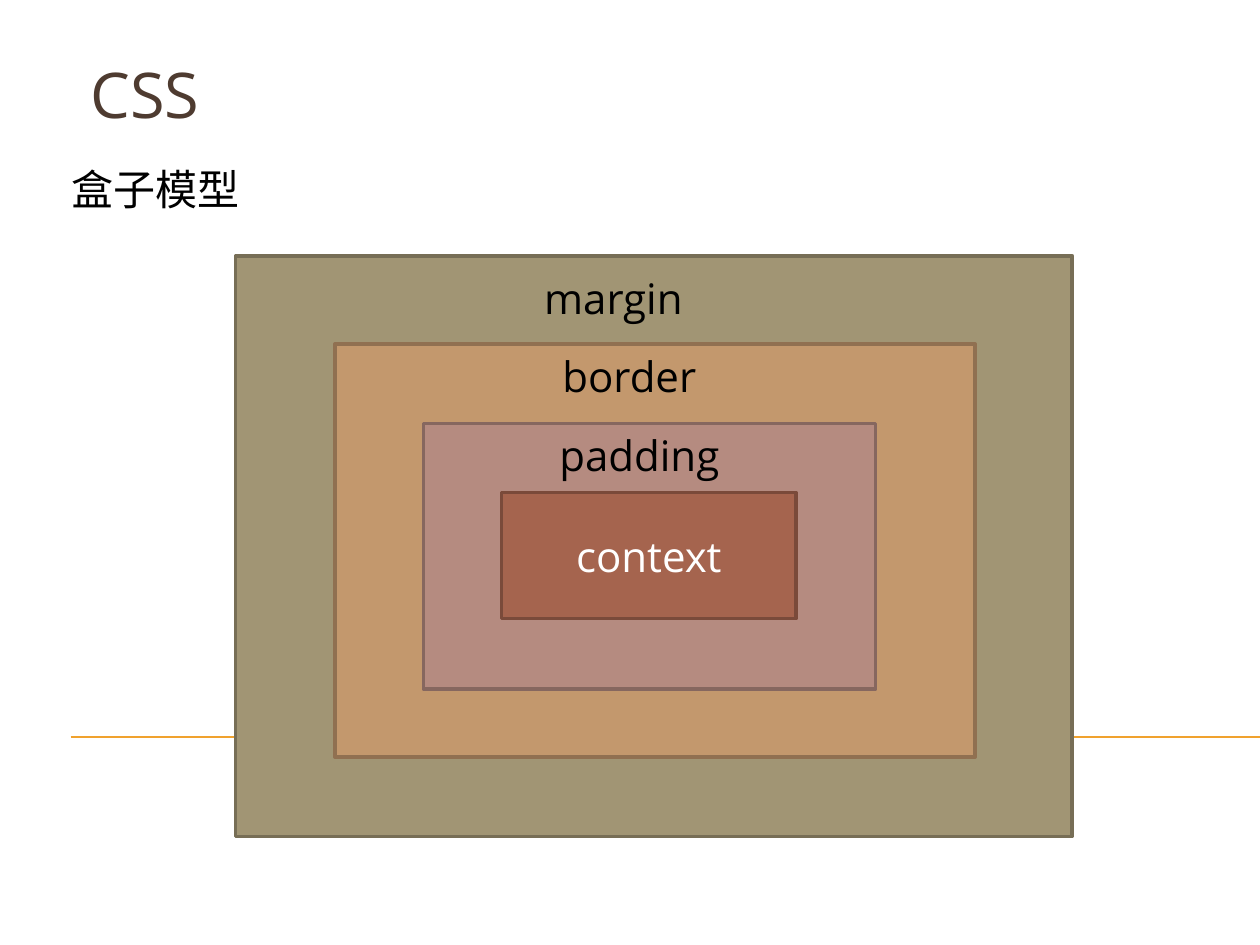
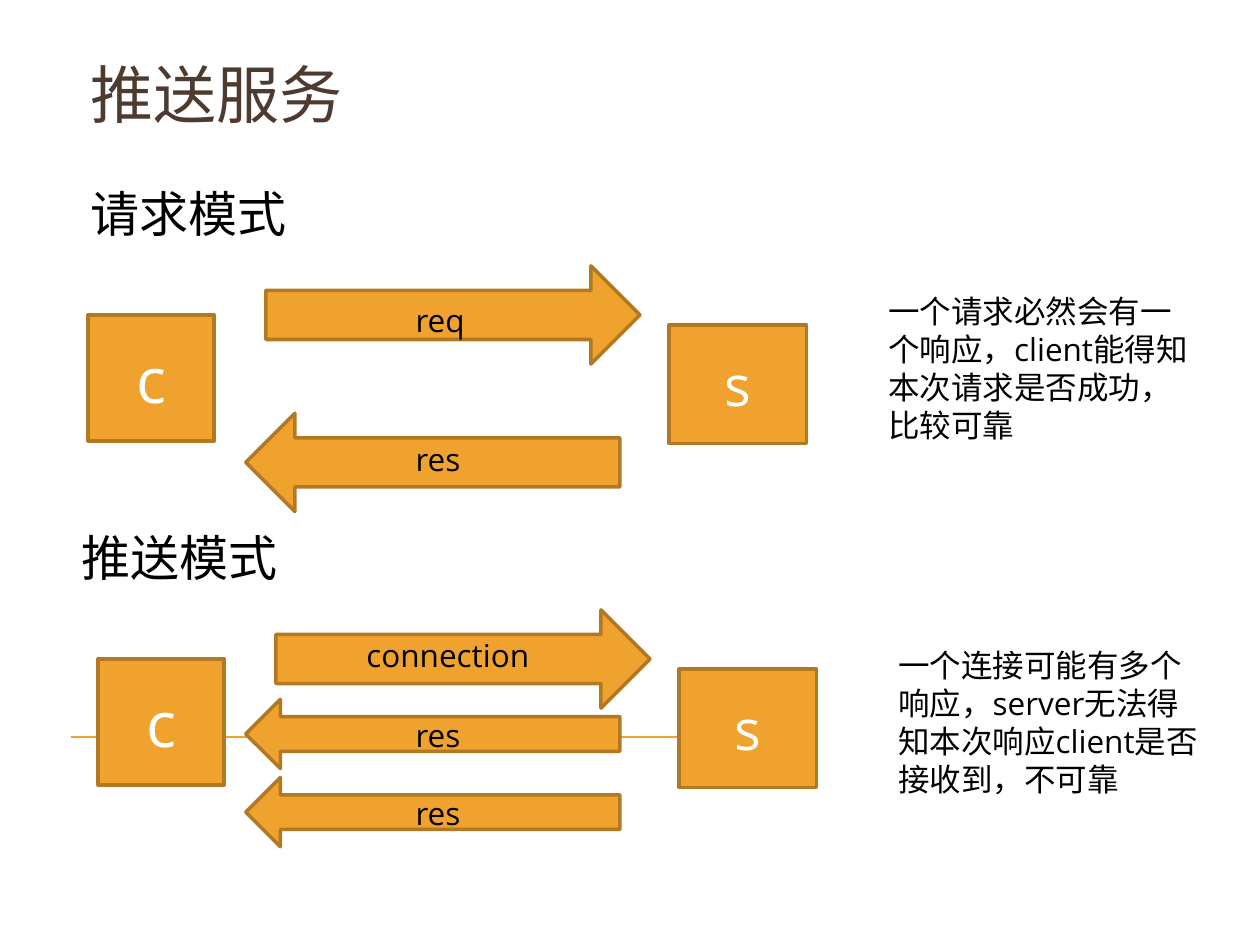
from dataclasses import dataclass

from lxml import etree
from pptx import Presentation
from pptx.dml.color import RGBColor
from pptx.enum.shapes import MSO_CONNECTOR, MSO_SHAPE
from pptx.enum.text import MSO_ANCHOR, MSO_AUTO_SIZE, PP_ALIGN
from pptx.oxml.ns import qn
from pptx.shapes.autoshape import Shape
from pptx.slide import Slide
from pptx.util import Inches, Pt

RECTANGLE, ARROW = MSO_SHAPE.RECTANGLE, MSO_SHAPE.RIGHT_ARROW
STRAIGHT = MSO_CONNECTOR.STRAIGHT
LEFT, CENTER = PP_ALIGN.LEFT, PP_ALIGN.CENTER
TOP, MIDDLE = MSO_ANCHOR.TOP, MSO_ANCHOR.MIDDLE
NO_FIT = MSO_AUTO_SIZE.NONE
TITLE_ONLY = 5

FONT = "Open Sans"
BLACK, WHITE, BROWN = "000000", "FFFFFF", "4E3B30"
ORANGE, DARK_ORANGE = "F0A22E", "B27822"
SLIDE_WIDTH, SLIDE_HEIGHT = 10, 7.5
SERVER_OFFSET = 4.61

Place = tuple[float, float, float, float]


@dataclass
class Layer:
    """One rectangle of the box model with its own caption."""
    place: Place
    fill: str
    edge: str
    caption: str
    caption_place: Place
    align: PP_ALIGN = CENTER


@dataclass
class Message:
    """An arrow between client and server, with its label."""
    label: str
    left: float
    top: float
    height: float
    label_left: float
    label_drop: float
    label_width: float = 1.33
    backward: bool = True


@dataclass
class Mode:
    """One way of communicating: heading, two ends, messages and a remark."""
    heading: str
    heading_place: Place
    left: float
    top: float
    messages: list[Message]
    remark: str
    remark_place: Place


LAYERS = [
    Layer((1.87, 2.03, 6.64, 4.61), "A19574", "776E56", "margin", (4.22, 2.11, 1.64, 0.5), LEFT),
    Layer((2.66, 2.73, 5.08, 3.28), "C3986D", "907051", "border", (3.98, 2.73, 2.03, 0.5)),
    Layer((3.36, 3.36, 3.59, 2.11), "B58B80", "86675F", "padding", (4.06, 3.36, 2.03, 0.5)),
]

REQUEST_MODE = Mode(
    "请求模式", (0.62, 1.41, 1.88, 0.57), 0.7, 2.5,
    [Message("req", 2.11, 2.11, 0.78, 3.2, 0.23, backward=False),
     Message("res", 1.95, 3.28, 0.78, 3.2, 0.16)],
    "一个请求必然会有一个响应，client能得知本次请求是否成功，比较可靠",
    (6.95, 2.27, 2.58, 1.31))
PUSH_MODE = Mode(
    "推送模式", (0.55, 4.14, 1.88, 0.57), 0.78, 5.23,
    [Message("connection", 2.19, 4.84, 0.78, 2.81, 0.16, 1.72, False),
     Message("res", 1.95, 5.55, 0.55, 3.2, 0.08),
     Message("res", 1.95, 6.17, 0.55, 3.2, 0.08)],
    "一个连接可能有多个响应，server无法得知本次响应client是否接收到，不可靠",
    (7.03, 5.08, 2.58, 1.31))


def rgb(color: str) -> RGBColor:
    """Turn a hex string into a colour."""
    return RGBColor.from_string(color)


def inches(place: Place) -> list[Inches]:
    """Turn four numbers into lengths."""
    return [Inches(value) for value in place]


def write(shape: Shape, words: str, size: int, color: str = BLACK,
          align: PP_ALIGN = LEFT, anchor: MSO_ANCHOR = TOP) -> None:
    """Write one formatted paragraph into a shape."""
    frame = shape.text_frame
    frame_format = {"word_wrap": True, "auto_size": NO_FIT, "vertical_anchor": anchor}
    for name, value in frame_format.items():
        setattr(frame, name, value)
    paragraph = frame.paragraphs[0]
    paragraph.alignment = align
    run = paragraph.add_run()
    run.text = words
    for name, value in {"name": FONT, "size": Pt(size)}.items():
        setattr(run.font, name, value)
    run.font.color.rgb = rgb(color)
    east_asian = etree.SubElement(run.font._element, qn("a:ea"))
    east_asian.set("typeface", FONT)


def add_text(slide: Slide, place: Place, words: str, size: int,
             align: PP_ALIGN = LEFT) -> None:
    """Add a text box."""
    write(slide.shapes.add_textbox(*inches(place)), words, size, align=align)


def add_block(slide: Slide, place: Place, fill: str = ORANGE,
              edge: str = DARK_ORANGE, kind: MSO_SHAPE = RECTANGLE) -> Shape:
    """Add a filled and outlined shape."""
    block = slide.shapes.add_shape(kind, *inches(place))
    block.shadow.inherit = False
    block.fill.solid()
    block.fill.fore_color.rgb = rgb(fill)
    block.line.color.rgb = rgb(edge)
    block.line.width = Pt(2)
    return block


def add_slide(deck: Presentation, heading: str, rule_end: float = SLIDE_WIDTH) -> Slide:
    """Add a slide with the shared title and a rule up to rule_end."""
    slide = deck.slides.add_slide(deck.slide_layouts[TITLE_ONLY])
    rule = slide.shapes.add_connector(STRAIGHT, *inches((0.56, 5.85, rule_end, 5.85)))
    rule.line.color.rgb = rgb(ORANGE)
    rule.line.width = Pt(0.75)
    etree.SubElement(rule._element.spPr, qn("a:effectLst"))
    title = slide.shapes.title
    title.left, title.top, title.width, title.height = inches((0.62, 0.39, 8.5, 0.86))
    write(title, heading, 36, BROWN)
    return slide


def draw_box_model(slide: Slide) -> None:
    """Draw the nested layers around the content."""
    add_text(slide, (0.47, 1.25, 1.64, 0.5), "盒子模型", 24)
    for layer in LAYERS:
        add_block(slide, layer.place, layer.fill, layer.edge)
        add_text(slide, layer.caption_place, layer.caption, 24, layer.align)
    content = add_block(slide, (3.98, 3.91, 2.34, 1), "A5644E", "7A4A3A")
    write(content, "context", 24, WHITE, CENTER, MIDDLE)


def draw_mode(slide: Slide, mode: Mode) -> None:
    """Draw client, server and the messages between them."""
    add_text(slide, mode.heading_place, mode.heading, 28)
    client = add_block(slide, (mode.left, mode.top, 1, 1))
    write(client, "c", 36, WHITE, CENTER, MIDDLE)
    server = add_block(slide, (mode.left + SERVER_OFFSET, mode.top + 0.08, 1.09, 0.94))
    write(server, "s", 32, WHITE, CENTER, MIDDLE)
    for message in mode.messages:
        arrow = add_block(slide, (message.left, message.top, 2.97, message.height), kind=ARROW)
        arrow.rotation = 180 if message.backward else 0
        label_top = message.top + message.label_drop
        add_text(slide, (message.label_left, label_top, message.label_width, 0.4),
                 message.label, 18)
    add_text(slide, mode.remark_place, mode.remark, 18)


def main() -> None:
    """Build and save the slides."""
    deck = Presentation()
    deck.slide_width, deck.slide_height = Inches(SLIDE_WIDTH), Inches(SLIDE_HEIGHT)
    draw_box_model(add_slide(deck, "CSS"))
    # The rule ends at the push server, so that it stays clear of the remark.
    push_service = add_slide(deck, "推送服务", PUSH_MODE.left + SERVER_OFFSET)
    for mode in (REQUEST_MODE, PUSH_MODE):
        draw_mode(push_service, mode)
    deck.save("out.pptx")


main()
